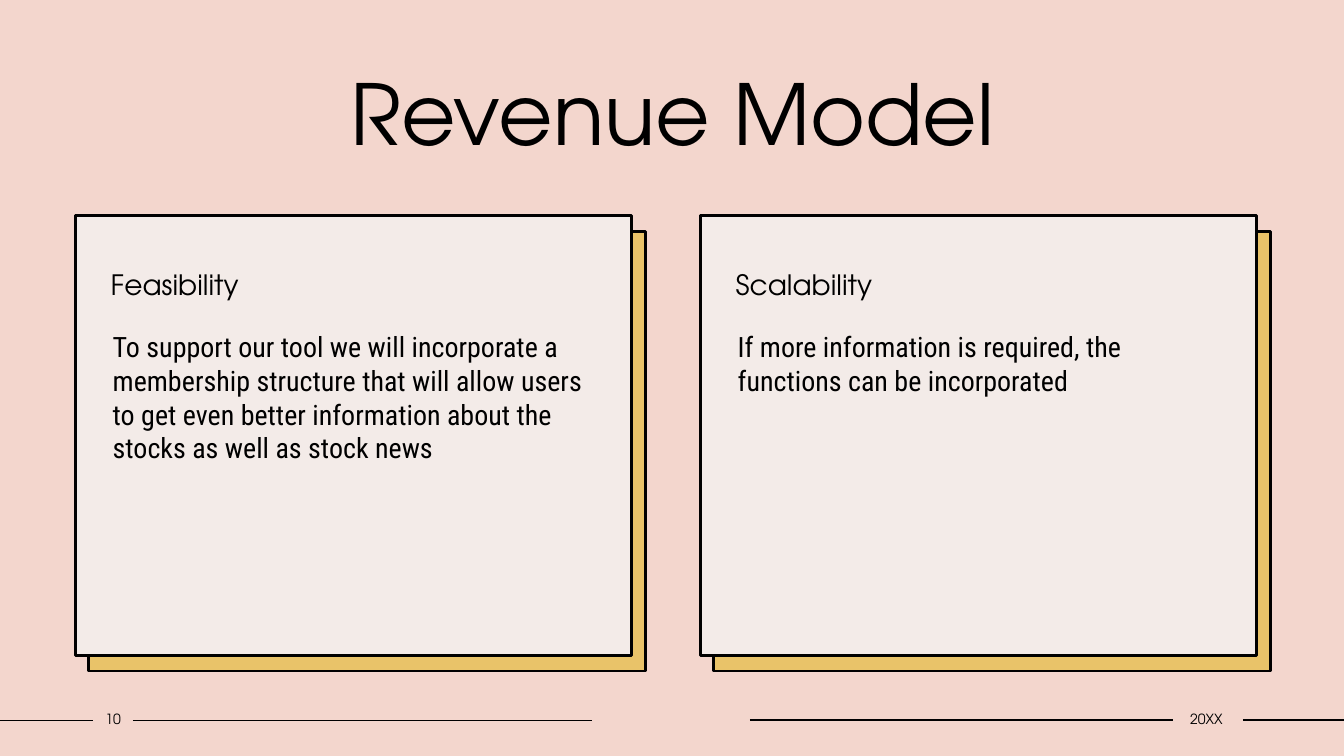
from dataclasses import dataclass

from lxml import etree
from pptx import Presentation
from pptx.dml.color import RGBColor
from pptx.enum.shapes import MSO_CONNECTOR, MSO_SHAPE
from pptx.enum.text import MSO_ANCHOR, MSO_AUTO_SIZE, PP_ALIGN
from pptx.oxml.ns import qn
from pptx.util import Cm, Pt

LEFT, CENTER = PP_ALIGN.LEFT, PP_ALIGN.CENTER
TOP, MIDDLE = MSO_ANCHOR.TOP, MSO_ANCHOR.MIDDLE

TITLE = "Revenue Model"
CARDS = [
    ("Feasibility",
     "To support our tool we will incorporate a membership structure that will "
     "allow users to get even better information about the stocks as well as stock news"),
    ("Scalability",
     "If more information is required, the functions can be incorporated"),
]
# text, left, width, (start, end) of the rules beside it, height of the rules; in cm
FOOTERS = [
    ("10", 2.34, 1.02, [(0, 2.34), (3.35, 14.91)], 18.16),
    ("20XX", 29.51, 1.78, [(18.9, 29.57), (31.32, 33.87)], 18.14),
]


@dataclass(frozen=True)
class Theme:
    background: RGBColor = RGBColor(0xF3, 0xD6, 0xCD)
    card: RGBColor = RGBColor(0xF3, 0xEB, 0xE8)
    backing: RGBColor = RGBColor(0xE9, 0xC3, 0x69)
    ink: RGBColor = RGBColor(0, 0, 0)
    display_font: str = "TeX Gyre Adventor"
    text_font: str = "Roboto Condensed"
    title_size: int = 60
    card_size: int = 20
    footer_size: int = 10
    border: int = 2
    rule: int = 1


THEME = Theme()

CARD_LEFT, CARD_TOP, CARD_STEP = 1.9, 5.44, 15.75
CARD_WIDTH, CARD_HEIGHT = 14.02, 11.07
BACKING_SHIFT = (0.34, 0.4)
TEXT_SHIFT = (0.69, 2.74)
TEXT_WIDTH, TEXT_HEIGHT = 12.8, 7.75


def place(box, left, top, width, height):
    box.left, box.top, box.width, box.height = Cm(left), Cm(top), Cm(width), Cm(height)


def paint(box, color):
    box.fill.solid()
    box.fill.fore_color.rgb = color
    box.line.color.rgb = THEME.ink
    box.line.width = Pt(THEME.border)


def write(box, text, size, font=THEME.display_font, align=LEFT, anchor=TOP,
          insets=(0.25, 0.13, 0.25, 0.13), line_spacing=1.0, before=0):
    """Fill the box with one unbulleted paragraph; insets are left, top, right, bottom in cm."""
    frame = box.text_frame
    frame.word_wrap = True
    frame.auto_size = MSO_AUTO_SIZE.NONE
    frame.vertical_anchor = anchor
    (frame.margin_left, frame.margin_top,
     frame.margin_right, frame.margin_bottom) = map(Cm, insets)
    para = frame.paragraphs[0]
    para.alignment = align
    para.line_spacing = line_spacing
    para.space_before = Pt(before)
    properties = para._p.get_or_add_pPr()
    properties.set("marL", "0")
    properties.set("indent", "0")
    etree.SubElement(properties, qn("a:buNone"))
    span = para.add_run()
    span.text = text
    span.font.name = font
    span.font.size = Pt(size)
    span.font.bold = False
    span.font.color.rgb = THEME.ink


def add_rule(page, start, end, height):
    rule = page.shapes.add_connector(
        MSO_CONNECTOR.STRAIGHT, Cm(start), Cm(height), Cm(end), Cm(height))
    rule.line.color.rgb = THEME.ink
    rule.line.width = Pt(THEME.rule)
    etree.SubElement(rule._element.spPr, qn("a:effectLst"))


def add_card(page, index, heading, text, heading_box, text_box):
    left = CARD_LEFT + index * CARD_STEP
    backing = page.shapes.add_shape(
        MSO_SHAPE.RECTANGLE, Cm(left + BACKING_SHIFT[0]), Cm(CARD_TOP + BACKING_SHIFT[1]),
        Cm(CARD_WIDTH), Cm(CARD_HEIGHT))
    backing.shadow.inherit = False
    paint(backing, THEME.backing)
    heading_box.element.addprevious(backing.element)

    place(heading_box, left, CARD_TOP, CARD_WIDTH, CARD_HEIGHT)
    paint(heading_box, THEME.card)
    write(heading_box, heading, THEME.card_size, insets=(0.89, 1.4, 0.25, 0.13),
          line_spacing=0.9, before=10)
    place(text_box, left + TEXT_SHIFT[0], CARD_TOP + TEXT_SHIFT[1], TEXT_WIDTH, TEXT_HEIGHT)
    write(text_box, text, THEME.card_size, font=THEME.text_font)


def main():
    deck = Presentation()
    deck.slide_width, deck.slide_height = Cm(33.87), Cm(19.05)
    page = deck.slides.add_slide(deck.slide_layouts.get_by_name("Comparison"))
    page.background.fill.solid()
    page.background.fill.fore_color.rgb = THEME.background

    title, *card_boxes = list(page.placeholders)
    place(title, 3.18, 1.42, 27.53, 2.82)
    write(title, TITLE, THEME.title_size, align=CENTER, anchor=MIDDLE)

    for index, (heading, text) in enumerate(CARDS):
        heading_box, text_box = card_boxes[2 * index:2 * index + 2]
        add_card(page, index, heading, text, heading_box, text_box)

    for text, left, width, rules, height in FOOTERS:
        for start, end in rules:
            add_rule(page, start, end, height)
        label = page.shapes.add_textbox(Cm(left), Cm(17.78), Cm(width), Cm(0.69))
        write(label, text, THEME.footer_size, align=CENTER, anchor=MIDDLE,
              insets=(0, 0.13, 0, 0.13))

    deck.save("out.pptx")


if __name__ == "__main__":
    main()
